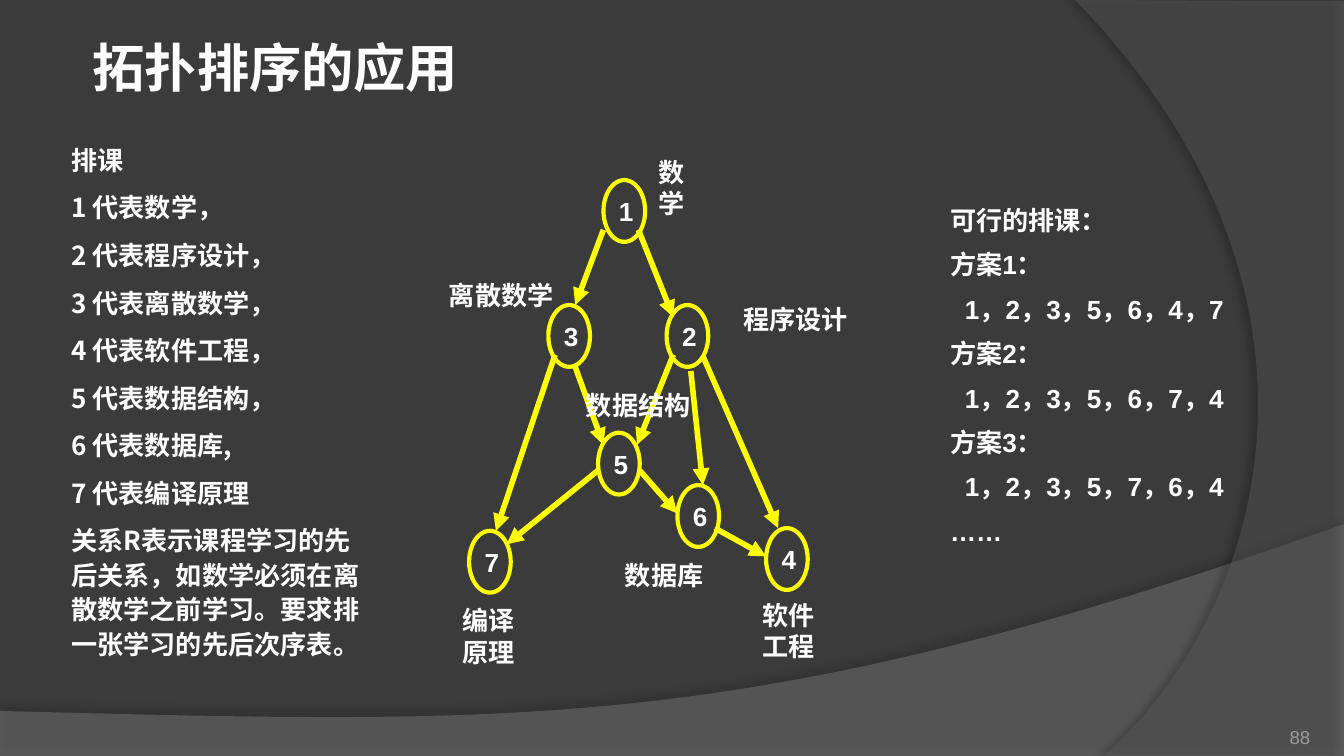
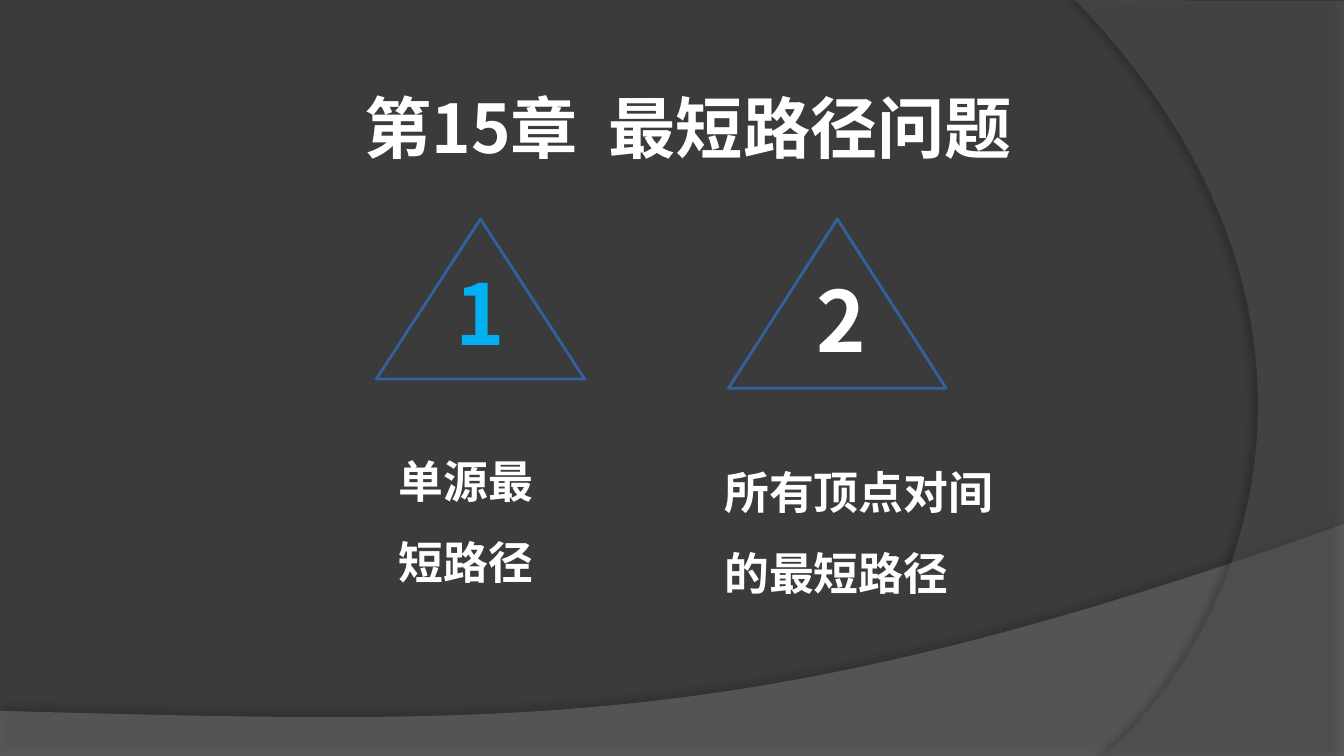
from dataclasses import dataclass

from lxml import etree
from pptx import Presentation
from pptx.dml.color import RGBColor
from pptx.enum.shapes import MSO_CONNECTOR, MSO_SHAPE
from pptx.enum.text import MSO_ANCHOR, MSO_AUTO_SIZE, PP_ALIGN
from pptx.oxml.ns import qn
from pptx.util import Inches, Pt

OVAL = MSO_SHAPE.OVAL
TRIANGLE = MSO_SHAPE.ISOSCELES_TRIANGLE
STRAIGHT = MSO_CONNECTOR.STRAIGHT
TOP, MIDDLE, BOTTOM = MSO_ANCHOR.TOP, MSO_ANCHOR.MIDDLE, MSO_ANCHOR.BOTTOM
FIT, FIXED = MSO_AUTO_SIZE.SHAPE_TO_FIT_TEXT, MSO_AUTO_SIZE.NONE
LEFT, CENTER, RIGHT = PP_ALIGN.LEFT, PP_ALIGN.CENTER, PP_ALIGN.RIGHT

WIDE, HIGH = 10, 10 * 9 / 16
TITLE_BODY, TITLE_ONLY = 1, 5


@dataclass(frozen=True)
class Theme:
    back: str = "3B3B3B"
    wave: str = "7F7F7F"
    arc: str = "5E5E5E"
    text: str = "FFFFFF"
    muted: str = "9D9B9A"
    graph: str = "FFFF00"
    frame: str = "33619F"
    accent: str = "00B0F0"
    latin: str = "Arial"
    cjk: str = "Noto Sans CJK SC"
    tiny: int = 10
    body: int = 14
    topic: int = 24
    title: int = 28
    chapter: int = 36
    digit: int = 45


def rgb(code):
    return RGBColor.from_string(code)


def add(parent, tag, **attrs):
    """Append an XML child and return it."""
    return etree.SubElement(parent, qn(tag), {k: str(v) for k, v in attrs.items()})


def bezier(p0, p1, p2, p3, steps=60):
    """Sample a cubic curve, end point included."""
    points = []
    for i in range(1, steps + 1):
        t = i / steps
        u = 1 - t
        parts = (u ** 3, 3 * u * u * t, 3 * u * t * t, t ** 3)
        points.append(tuple(sum(w * p[axis] for w, p in zip(parts, (p0, p1, p2, p3)))
                            for axis in (0, 1)))
    return points


class Deck:
    def __init__(self, theme):
        self.theme = theme
        self.prs = Presentation()
        self.prs.slide_width, self.prs.slide_height = Inches(WIDE), Inches(HIGH)
        self.slide = None
        fill = self.prs.slide_master.background.fill
        fill.solid()
        fill.fore_color.rgb = rgb(theme.back)

    def start(self, layout):
        self.slide = self.prs.slides.add_slide(self.prs.slide_layouts[layout])

    def band(self, points, color, alpha, shade, dist, angle, rank):
        """Put a translucent, shadowed outline on the slide master."""
        track = [(Inches(x), Inches(y)) for x, y in points]
        pen = self.slide.shapes.build_freeform(*track[0], scale=1.0)
        pen.add_line_segments(track[1:], close=True)
        shape = pen.convert_to_shape()
        shape.fill.solid()
        shape.fill.fore_color.rgb = rgb(color)
        props = shape._element.spPr
        add(props.find(".//" + qn("a:srgbClr")), "a:alpha", val=alpha * 1000)
        shape.line.fill.background()
        drop = add(add(props, "a:effectLst"), "a:outerShdw", blurRad=Pt(4),
                   dist=Pt(dist), dir=angle * 60000, algn="ctr", rotWithShape=0)
        add(add(drop, "a:srgbClr", val="000000"), "a:alpha", val=shade * 1000)
        self.prs.slide_master.shapes._spTree.insert(2 + rank, shape._element)

    def style(self, shape, text, size, font=None, color=None, bold=True, align=LEFT,
              anchor=TOP, pads=(0.1, 0.05), fit=FIXED, lead=1.0, gap=0):
        """Set the text of a shape and format it."""
        frame = shape.text_frame
        frame.text = text
        frame.word_wrap = True
        frame.auto_size = fit
        frame.vertical_anchor = anchor
        frame.margin_left = frame.margin_right = Inches(pads[0])
        frame.margin_top = frame.margin_bottom = Inches(pads[1])
        for para in frame.paragraphs:
            para.alignment = align
            para.line_spacing = lead
            para.space_before = Pt(gap)
            for run in para.runs:
                run.font.size = Pt(size)
                run.font.bold = bold
                run.font.name = font or self.theme.cjk
                run.font.color.rgb = rgb(color or self.theme.text)
                add(run._r.get_or_add_rPr(), "a:ea", typeface=self.theme.cjk)
        return frame

    def place(self, shape, box):
        shape.left, shape.top, shape.width, shape.height = map(Inches, box)
        return shape

    def title(self, box, text, size, **looks):
        self.style(self.place(self.slide.shapes.title, box), text, size, fit=FIT, **looks)

    def body(self, box, lines, **looks):
        shape = self.place(self.slide.placeholders[1], box)
        frame = self.style(shape, "\n".join(lines), self.theme.body, fit=FIT, **looks)
        for para in frame.paragraphs:
            props = para._p.get_or_add_pPr()
            props.set("marL", "0")
            props.set("indent", "0")
            add(props, "a:buNone")

    def box(self, box, text, size, **looks):
        shape = self.slide.shapes.add_textbox(*map(Inches, box))
        return self.style(shape, text, size, **looks)

    def label(self, box, text):
        self.box(box, text, self.theme.body, font=self.theme.latin, pads=(0.07, 0))

    def outline(self, kind, box, color, width):
        shape = self.slide.shapes.add_shape(kind, *map(Inches, box))
        shape.shadow.inherit = False
        shape.fill.background()
        shape.line.color.rgb = rgb(color)
        shape.line.width = Pt(width)
        return shape

    def node(self, x, y, text):
        shape = self.outline(OVAL, (x, y, 0.31, 0.46), self.theme.graph, 2.25)
        self.style(shape, text, self.theme.body, font=self.theme.latin, align=CENTER,
                   anchor=MIDDLE, pads=(0.07, 0.03))

    def arrow(self, *ends):
        link = self.slide.shapes.add_connector(STRAIGHT, *map(Inches, ends))
        link.line.color.rgb = rgb(self.theme.graph)
        link.line.width = Pt(3)
        props = link._element.spPr
        add(props.find(qn("a:ln")), "a:tailEnd", type="triangle")
        add(props, "a:effectLst")


def bands(deck):
    theme = deck.theme
    wave = [(0, 5.29), (0, HIGH), (WIDE, HIGH), (WIDE, 3.9)]
    wave += bezier((WIDE, 3.9), (5.59, 5.47), (3.91, 5.39), (0, 5.29))
    arc = [(WIDE, 0.01), (WIDE, HIGH), (8.21, HIGH)]
    arc += bezier((8.21, HIGH), (9.35, 4.64), (10.18, 2.25), (8, 0))
    deck.band(wave, theme.wave, 45, 35, 3.5, 270, 0)
    deck.band(arc, theme.arc, 40, 45, 4, 180, 1)


def courses(deck):
    theme = deck.theme
    deck.title((0.59, 0.21, 3.46, 0.57), "拓扑排序的应用", theme.title)
    deck.body((0.43, 1, 2.36, 4.15), [
        "排课",
        "1 代表数学，",
        "2 代表程序设计，",
        "3 代表离散数学，",
        "4 代表软件工程，",
        "5 代表数据结构，",
        "6 代表数据库,",
        "7 代表编译原理",
        "关系R表示课程学习的先后关系，如数学必须在离散数学之前学习。"
        "要求排一张学习的先后次序表。",
    ], lead=1.1, gap=7)

    for ends in (
        (4.49, 1.71, 4.28, 2.27),
        (4.75, 1.71, 5.01, 2.36),
        (4.13, 2.64, 3.69, 3.95),
        (4.28, 2.73, 4.49, 3.31),
        (5.01, 2.64, 4.74, 3.31),
        (5.14, 2.76, 5.23, 3.61),
        (5.23, 2.65, 5.79, 3.93),
        (4.45, 3.5, 3.77, 4.05),
        (4.76, 3.5, 5.04, 3.82),
        (5.32, 3.93, 5.7, 4.14),
    ):
        deck.arrow(*ends)

    nodes = ((4.49, 1.34), (4.96, 2.27), (4.08, 2.27), (5.7, 3.93),
             (4.45, 3.22), (5.04, 3.61), (3.49, 3.95))
    for number, (x, y) in enumerate(nodes, 1):
        deck.node(x, y, str(number))

    for x, y, width, name in (
        (4.83, 1.16, 0.47, "数学"),
        (5.46, 2.26, 1.03, "程序设计"),
        (3.27, 2.08, 1.09, "离散数学"),
        (5.6, 4.46, 0.7, "软件工程"),
        (4.29, 2.9, 0.93, "数据结构"),
        (4.58, 4.16, 0.94, "数据库"),
        (3.37, 4.5, 0.7, "编译原理"),
    ):
        deck.label((x, y, width, 0.28), name)

    plans = ["可行的排课："]
    for number, order in enumerate(("1235647", "1235674", "1235764"), 1):
        plans += [f"方案{number}：", "，".join(order)]
    plans.append("……")
    frame = deck.box((6.97, 1.47, 2.68, 2.81), "\n".join(plans), theme.body,
                     font=theme.latin, fit=FIT, gap=7)
    for para in frame.paragraphs[2:-1:2]:
        para._p.get_or_add_pPr().set("indent", str(Inches(0.11)))

    deck.box((8.92, 5.27, 0.83, 0.3), "88", theme.tiny, font=theme.latin,
             color=theme.muted, bold=False, align=RIGHT, anchor=BOTTOM, pads=(0, 0))


def chapter(deck):
    theme = deck.theme
    deck.title((2.09, 0.45, 6.06, 0.83), "第15章  最短路径问题", theme.chapter,
               align=CENTER, pads=(0.07, 0.04), lead=1.25)
    topics = (
        ("1", theme.accent, (2.8, 1.63, 1.55, 1.19), (2.84, 1.9, 1.46, 0.86),
         "单源最短路径", (2.87, 3.13, 1.42, 1.31), 0.1),
        ("2", theme.text, (5.42, 1.63, 1.62, 1.26), (5.39, 1.95, 1.74, 0.86),
         "所有顶点对间的最短路径", (5.39, 3.21, 2.13, 1.92), 0),
    )
    for digit, color, frame, spot, name, area, pad in topics:
        deck.box(area, name, theme.topic, fit=FIT, lead=1.5, pads=(pad, 0.05))
        deck.outline(TRIANGLE, frame, theme.frame, 1.5)
        deck.box(spot, digit, theme.digit, color=color, align=CENTER, fit=FIT)


def main():
    deck = Deck(Theme())
    deck.start(TITLE_BODY)
    bands(deck)
    courses(deck)
    deck.start(TITLE_ONLY)
    chapter(deck)
    deck.prs.save("out.pptx")


if __name__ == "__main__":
    main()
